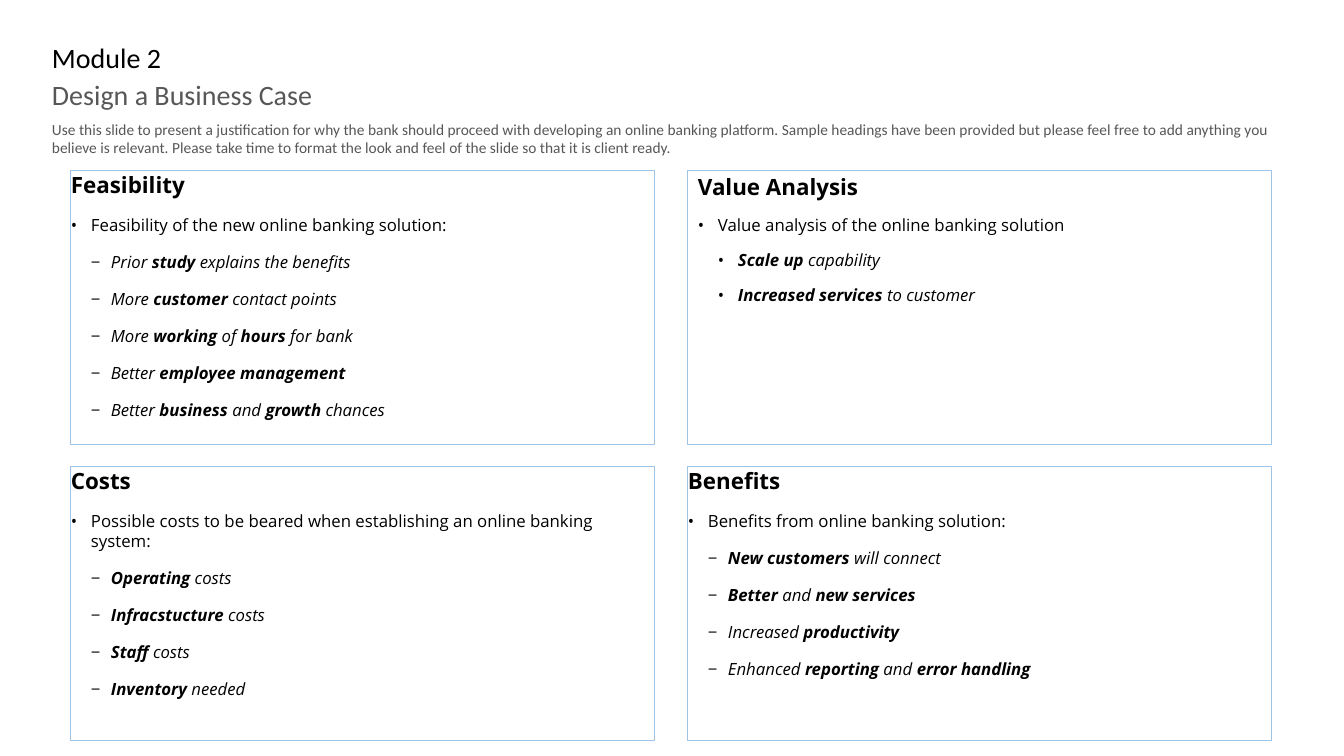
"""Build the business case slide: a heading block above four outlined cards."""
from dataclasses import dataclass

from lxml.etree import SubElement
from pptx import Presentation
from pptx.dml.color import RGBColor
from pptx.enum.shapes import MSO_SHAPE
from pptx.enum.text import MSO_ANCHOR, PP_ALIGN
from pptx.oxml.ns import qn
from pptx.util import Emu, Pt

HEADING = "Module 2"
SUBHEADING = "Design a Business Case"
INTRO = (
    "Use this slide to present a justification for why the bank should proceed with developing "
    "an online banking platform. Sample headings have been provided but please feel free to add "
    "anything you believe is relevant. Please take time to format the look and feel of the slide "
    "so that it is client ready."
)
BOLD_MARK = "*"
CARDS = [
    {
        "title": "Feasibility",
        "lead": "Feasibility of the new online banking solution:",
        "points": [
            "Prior *study* explains the benefits",
            "More *customer* contact points",
            "More *working* of *hours* for bank",
            "Better *employee management*",
            "Better *business* and *growth* chances",
        ],
    },
    {
        "title": "Value Analysis",
        "lead": "Value analysis of the online banking solution",
        "points": ["*Scale up* capability", "*Increased services* to customer"],
        "bullet": "•",
        "inset": (10, 5),
        "line_spacing": 0.9,
    },
    {
        "title": "Costs",
        "lead": "Possible costs to be beared when establishing an online banking system:",
        "points": ["*Operating* costs", "*Infracstucture* costs", "*Staff* costs", "*Inventory* needed"],
    },
    {
        "title": "Benefits",
        "lead": "Benefits from online banking solution:",
        "points": [
            "*New customers* will connect",
            "*Better* and *new services*",
            "Increased *productivity*",
            "Enhanced *reporting* and *error handling*",
        ],
    },
]


@dataclass(frozen=True)
class Theme:
    black: RGBColor = RGBColor(0x00, 0x00, 0x00)
    gray: RGBColor = RGBColor(0x57, 0x57, 0x57)
    outline: RGBColor = RGBColor(0x9D, 0xC3, 0xE6)
    heading_font: str = "Calibri"
    card_font: str = "Open Sans"
    heading_size: int = 20
    intro_size: int = 11
    title_size: int = 16
    body_size: int = 12
    gap: int = 6


THEME = Theme()
PAGE_WIDTH, PAGE_HEIGHT = 1344, 756
HEADING_LEFT = 52
CARD_LEFT, CARD_TOP, CARD_WIDTH, CARD_HEIGHT = 71, 171, 584, 274
COLUMN_STEP, ROW_STEP = 617, 296
INDENT = 20


def px(length):
    return Emu(round(length * 914400 / 100.8))


def set_frame(frame, inset=(0, 0)):
    frame.word_wrap = True
    frame.vertical_anchor = MSO_ANCHOR.TOP
    frame.margin_left = frame.margin_right = px(inset[0])
    frame.margin_top = frame.margin_bottom = px(inset[1])


def set_font(para, name, size, color, italic=False):
    para.font.name = name
    para.font.size = Pt(size)
    para.font.color.rgb = color
    para.font.italic = italic


def set_bullet(para, character, level):
    properties = para._p.get_or_add_pPr()
    properties.set("marL", str(px(INDENT * level)))
    properties.set("indent", str(-px(INDENT)))
    SubElement(properties, qn("a:buFont"), typeface=THEME.card_font)
    SubElement(properties, qn("a:buChar"), char=character)


def add_heading(page, text, top, width, height, size, color, line_spacing):
    box = page.shapes.add_textbox(px(HEADING_LEFT), px(top), px(width), px(height))
    set_frame(box.text_frame)
    para = box.text_frame.paragraphs[0]
    para.line_spacing = line_spacing
    set_font(para, THEME.heading_font, size, color)
    para.add_run().text = text


def add_card(page, card, left, top):
    box = page.shapes.add_shape(MSO_SHAPE.RECTANGLE, px(left), px(top), px(CARD_WIDTH), px(CARD_HEIGHT))
    box.shadow.inherit = False
    box.fill.background()
    box.line.color.rgb = THEME.outline
    box.line.width = Pt(0.75)
    frame = box.text_frame
    set_frame(frame, card.get("inset", (0, 0)))
    title = BOLD_MARK + card["title"] + BOLD_MARK
    lines = [(title, 0), (card["lead"], 1)] + [(point, 2) for point in card["points"]]
    for index, (text, level) in enumerate(lines):
        para = frame.add_paragraph() if index else frame.paragraphs[0]
        if level:
            set_bullet(para, card.get("bullet", "−") if level == 2 else "•", level)
        para.level = level
        para.alignment = PP_ALIGN.LEFT
        para.line_spacing = card.get("line_spacing", 1.0)
        para.space_before = Pt(THEME.gap if index else 0)
        para.space_after = Pt(THEME.gap)
        size = THEME.body_size if level else THEME.title_size
        set_font(para, THEME.card_font, size, THEME.black, italic=level == 2)
        for part, words in enumerate(text.split(BOLD_MARK)):
            if words:
                span = para.add_run()
                span.text = words
                span.font.bold = part % 2 == 1


def main():
    deck = Presentation()
    deck.slide_width, deck.slide_height = px(PAGE_WIDTH), px(PAGE_HEIGHT)
    page = deck.slides.add_slide(deck.slide_layouts[6])
    add_heading(page, HEADING, 44, 1010, 37, THEME.heading_size, THEME.black, 0.9)
    add_heading(page, SUBHEADING, 81, 1010, 41, THEME.heading_size, THEME.gray, 0.9)
    add_heading(page, INTRO, 120, 1242, 44, THEME.intro_size, THEME.gray, 1.0)
    for index, card in enumerate(CARDS):
        row, column = divmod(index, 2)
        add_card(page, card, CARD_LEFT + column * COLUMN_STEP, CARD_TOP + row * ROW_STEP)
    deck.save("out.pptx")


if __name__ == "__main__":
    main()
